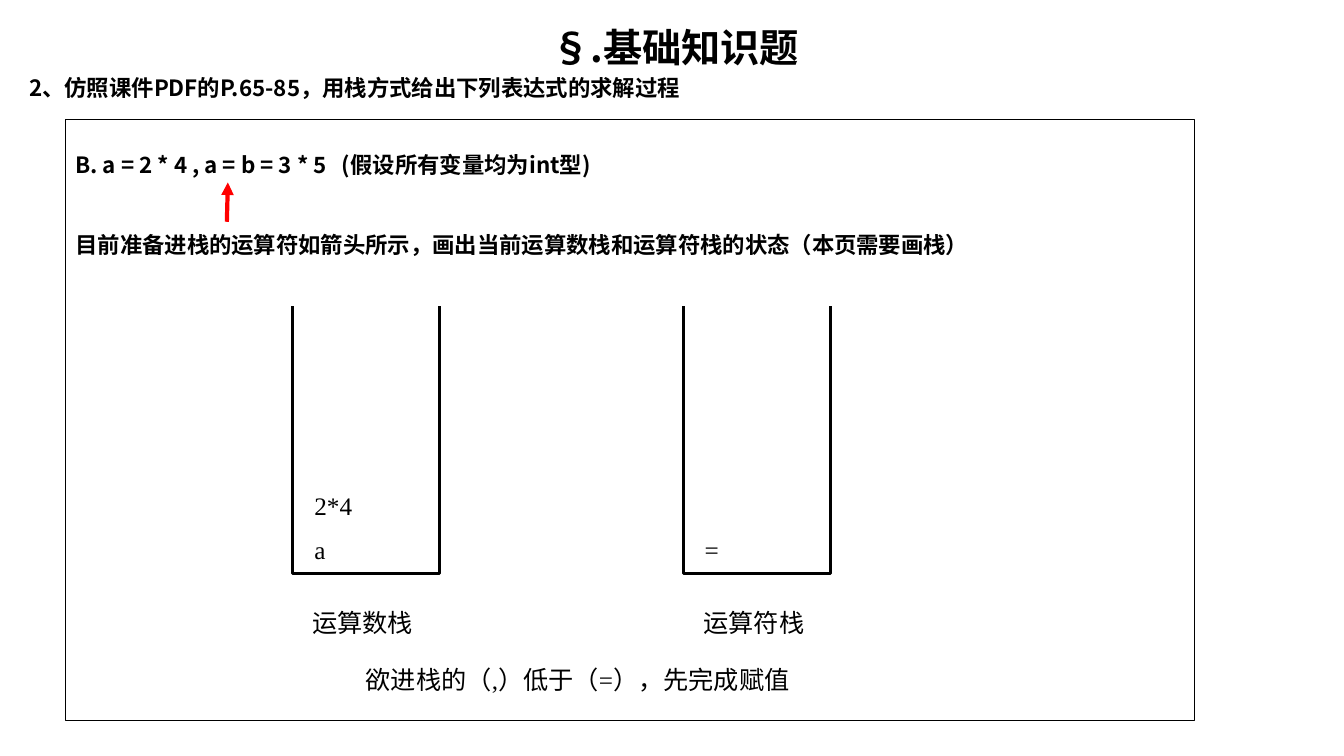
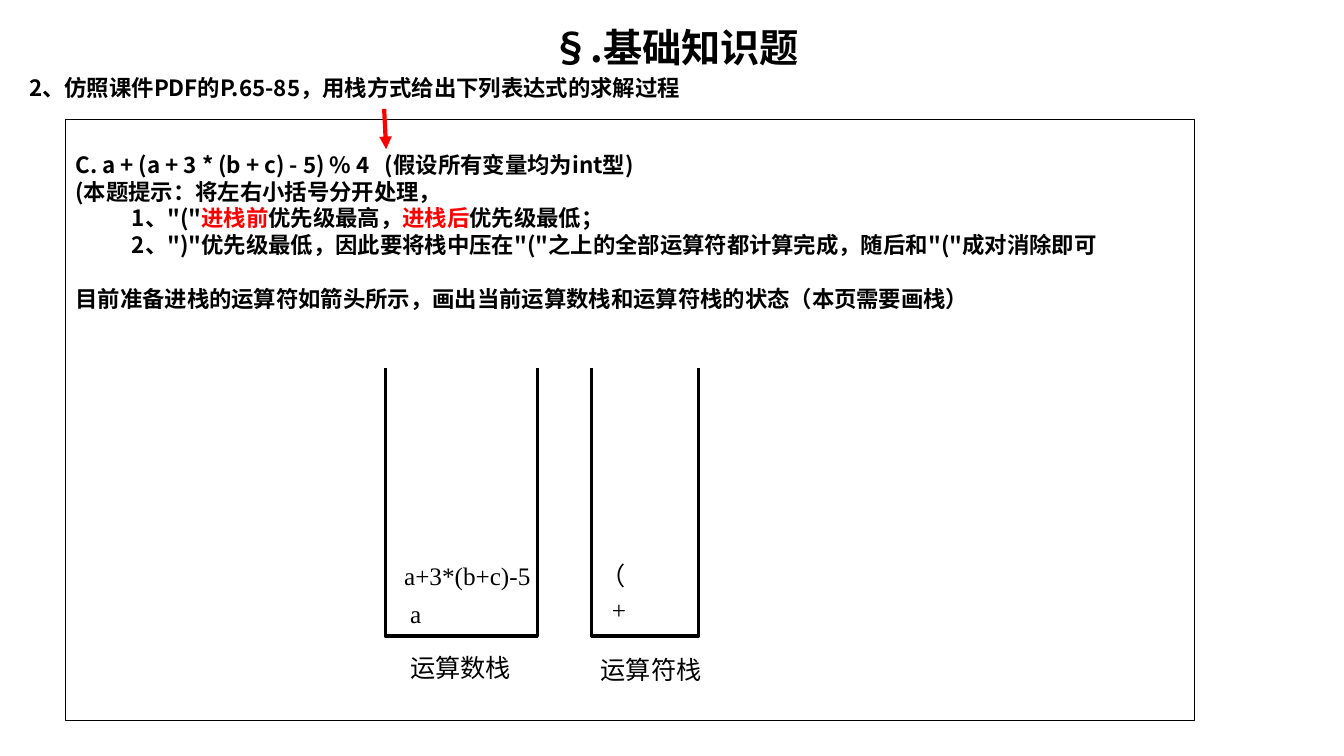
"""Builds two exercise slides about evaluating expressions with stacks."""
from dataclasses import dataclass

from lxml.etree import SubElement
from pptx import Presentation
from pptx.dml.color import RGBColor as Color
from pptx.enum.shapes import MSO_CONNECTOR as Connector, MSO_SHAPE as Shape
from pptx.enum.text import MSO_ANCHOR as Anchor, MSO_AUTO_SIZE as AutoSize, PP_ALIGN as Align
from pptx.oxml.ns import qn
from pptx.util import Emu, Pt

PX = 9144
INDENT = 56
STACK_HEIGHT = 284
RIM_DEPTH = 18


@dataclass(frozen=True)
class Theme:
    black: Color = Color(0, 0, 0)
    white: Color = Color(255, 255, 255)
    red: Color = Color(255, 0, 0)
    heading_font: str = "Noto Sans CJK SC"
    label_font: str = "Times New Roman"
    title_size: int = 28
    body_size: int = 16
    label_size: int = 18
    title_pitch: float = 36
    body_pitch: float = 19.1
    thin_line: float = 0.75
    stack_line: float = 2.25
    arrow_line: float = 3


THEME = Theme()


@dataclass(frozen=True)
class Span:
    text: str
    color: Color = THEME.black


@dataclass(frozen=True)
class Line:
    spans: tuple[Span, ...]
    indent: int = 0
    gap_lines: int = 0


@dataclass(frozen=True)
class Label:
    text: str
    left: int
    top: int
    width: int = 117


@dataclass(frozen=True)
class Stack:
    left: int
    top: int
    width: int
    rim_overhang: int = 16
    rim_width: int = 191
    rim_height: int = 29


@dataclass(frozen=True)
class Arrow:
    start: tuple[int, int]
    end: tuple[int, int]


@dataclass(frozen=True)
class Exercise:
    lines: tuple[Line, ...]
    arrow: Arrow
    stacks: tuple[Stack, ...]
    labels: tuple[Label, ...]


def px(length: int) -> Emu:
    """Turns pixels into EMU."""
    return Emu(length * PX)


def add_span(para, text: str, *, font: str, size: int, bold: bool = False,
             color: Color = THEME.black) -> None:
    """Adds formatted text to a paragraph."""
    span = para.add_run()
    span.text = text
    span.font.name = font
    span.font.size = Pt(size)
    span.font.bold = bold
    span.font.color.rgb = color
    SubElement(span.font._element, qn("a:ea")).set("typeface", THEME.heading_font)


def add_text(page, text: str, left: int, top: int, width: int, height: int = 40, *,
             font: str, size: int, bold: bool = False, pitch: float | None = None,
             align: Align = Align.LEFT) -> None:
    """Adds a one-paragraph text box."""
    box = page.shapes.add_textbox(px(left), px(top), px(width), px(height))
    frame = box.text_frame
    frame.word_wrap = True
    frame.auto_size = AutoSize.SHAPE_TO_FIT_TEXT
    para = frame.paragraphs[0]
    para.alignment = align
    if pitch:
        para.line_spacing = Pt(pitch)
    add_span(para, text, font=font, size=size, bold=bold)


def add_box(page, left: int, top: int, width: int, height: int, *,
            line: Color, weight: float, fill: Color | None = None):
    """Adds a rectangle and returns it."""
    box = page.shapes.add_shape(Shape.RECTANGLE, px(left), px(top), px(width), px(height))
    box.shadow.inherit = False
    if fill is None:
        box.fill.background()
    else:
        box.fill.solid()
        box.fill.fore_color.rgb = fill
    box.line.color.rgb = line
    box.line.width = Pt(weight)
    return box


def add_headings(page) -> None:
    """Adds the shared title and question."""
    add_text(page, "§.基础知识题", 20, 15, 1299, 60, font=THEME.heading_font,
             size=THEME.title_size, bold=True, pitch=THEME.title_pitch, align=Align.CENTER)
    add_text(page, "2、仿照课件PDF的P.65-85，用栈方式给出下列表达式的求解过程", 19, 69, 1299,
             font=THEME.heading_font, size=THEME.body_size, bold=True, pitch=THEME.body_pitch)


def add_panel(page, lines: tuple[Line, ...]) -> None:
    """Adds the framed exercise text."""
    panel = add_box(page, 65, 119, 1120, 596, line=THEME.black, weight=THEME.thin_line)
    frame = panel.text_frame
    frame.word_wrap = True
    frame.vertical_anchor = Anchor.TOP
    frame.margin_top = px(31)
    for index, line in enumerate(lines):
        para = frame.add_paragraph() if index else frame.paragraphs[0]
        para.alignment = Align.LEFT
        para.line_spacing = Pt(THEME.body_pitch)
        para.space_before = Pt(line.gap_lines * THEME.body_pitch)
        para._p.get_or_add_pPr().set("marL", str(px(line.indent)))
        for span in line.spans:
            add_span(para, span.text, font=THEME.heading_font, size=THEME.body_size,
                     bold=True, color=span.color)


def add_arrow(page, arrow: Arrow) -> None:
    """Adds the red operator arrow."""
    ends = (px(value) for value in (*arrow.start, *arrow.end))
    connector = page.shapes.add_connector(Connector.STRAIGHT, *ends)
    connector.line.color.rgb = THEME.red
    connector.line.width = Pt(THEME.arrow_line)
    SubElement(connector.line._get_or_add_ln(), qn("a:tailEnd")).set("type", "triangle")
    SubElement(connector._element.spPr, qn("a:effectLst"))


def add_stack(page, stack: Stack) -> None:
    """Adds a stack whose top edge is opened by a white rim."""
    add_box(page, stack.left, stack.top, stack.width, STACK_HEIGHT,
            line=THEME.black, weight=THEME.stack_line, fill=THEME.white)
    add_box(page, stack.left - stack.rim_overhang, stack.top + RIM_DEPTH - stack.rim_height,
            stack.rim_width, stack.rim_height,
            line=THEME.white, weight=THEME.thin_line, fill=THEME.white)


def add_exercise(deck, exercise: Exercise) -> None:
    """Adds one exercise slide."""
    page = deck.slides.add_slide(deck.slide_layouts[6])
    add_headings(page)
    add_panel(page, exercise.lines)
    add_arrow(page, exercise.arrow)
    for stack in exercise.stacks:
        add_stack(page, stack)
    for label in exercise.labels:
        add_text(page, label.text, label.left, label.top, label.width,
                 font=THEME.label_font, size=THEME.label_size)


def plain(text: str, indent: int = 0, gap_lines: int = 0) -> Line:
    """Makes a line of a single black span."""
    return Line((Span(text),), indent, gap_lines)


TASK = "目前准备进栈的运算符如箭头所示，画出当前运算数栈和运算符栈的状态（本页需要画栈）"
OPERANDS, OPERATORS = "运算数栈", "运算符栈"

EXERCISES = (
    Exercise(
        lines=(
            plain("B. a = 2 * 4 , a = b = 3 * 5   (假设所有变量均为int型)"),
            plain(TASK, gap_lines=2),
        ),
        arrow=Arrow((225, 220), (226, 181)),
        stacks=(Stack(290, 285, 146), Stack(678, 285, 146)),
        labels=(
            Label("a", 302, 525),
            Label("2*4", 302, 482),
            Label(OPERANDS, 300, 598, 136),
            Label("=", 689, 525),
            Label(OPERATORS, 688, 598, 136),
            Label("欲进栈的（,）低于（=），先完成赋值", 353, 654, 534),
        ),
    ),
    Exercise(
        lines=(
            plain("C. a + (a + 3 * (b + c) - 5) % 4   (假设所有变量均为int型)"),
            plain("(本题提示：将左右小括号分开处理，"),
            Line((
                Span('1、"("'),
                Span("进栈前", THEME.red),
                Span("优先级最高，"),
                Span("进栈后", THEME.red),
                Span("优先级最低；"),
            ), INDENT),
            plain('2、")"优先级最低，因此要将栈中压在"("之上的全部运算符都计算完成，随后和"("成对消除即可', INDENT),
            plain(TASK, gap_lines=1),
        ),
        arrow=Arrow((381, 108), (383, 148)),
        stacks=(Stack(382, 347, 151, 28, 224, 33), Stack(587, 347, 106)),
        labels=(
            Label("a", 397, 589),
            Label("+", 597, 585),
            Label("a+3*(b+c)-5", 391, 551, 150),
            Label("（", 586, 551),
            Label(OPERANDS, 397, 642, 136),
            Label(OPERATORS, 586, 644, 136),
        ),
    ),
)


def main() -> None:
    """Builds and saves the deck."""
    deck = Presentation()
    deck.slide_width, deck.slide_height = px(1333), px(750)
    for exercise in EXERCISES:
        add_exercise(deck, exercise)
    deck.save("out.pptx")


if __name__ == "__main__":
    main()
